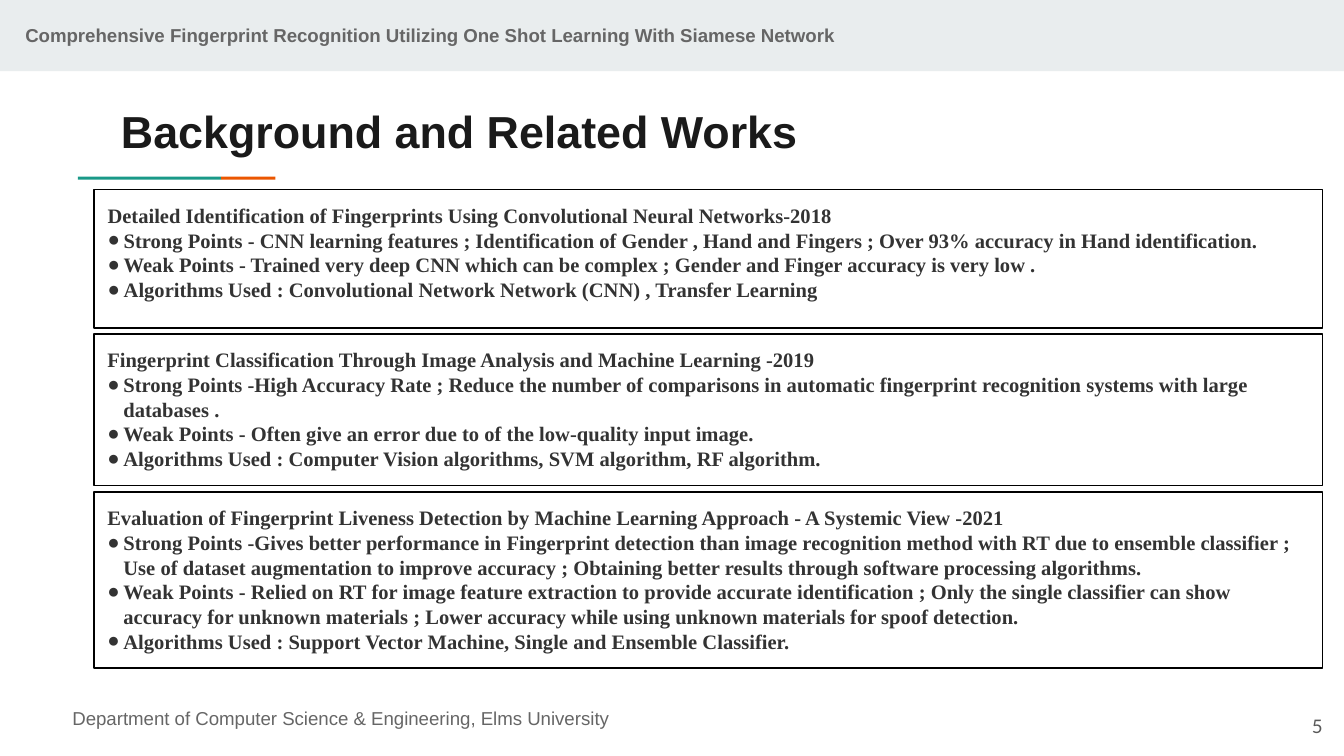
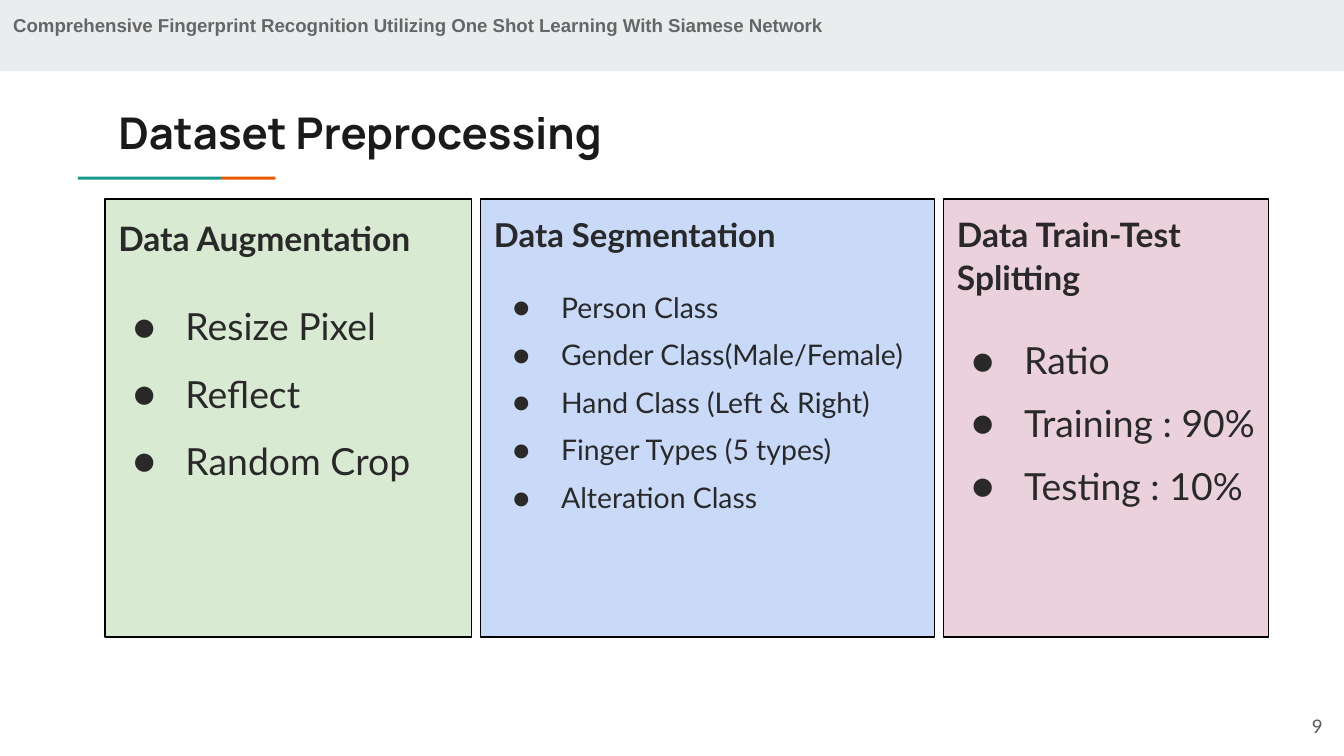
import pptx
import pptx.util
import pptx.dml.color
import pptx.enum.shapes
import pptx.enum.text
import lxml.etree

COLS, ROWS = 100, 56.25
CELL = pptx.util.Inches(0.1)
ALIGN = pptx.enum.text.PP_ALIGN
ANCHOR = pptx.enum.text.MSO_ANCHOR
INK, GREY, SLATE, COAL = "1A1A1A", "666666", "333333", "292929"
BAND, TEAL, ORANGE = "E9EDEE", "1A9988", "EB5600"
TOPIC = "Comprehensive Fingerprint Recognition Utilizing One Shot Learning With Siamese Network"
SCHOOL = "Department of Computer Science & Engineering, Elms University"

PAPERS = [
    (10.3, "Detailed Identification of Fingerprints Using Convolutional Neural Networks-2018", [
        "Strong Points - CNN learning features ; Identification of Gender , Hand and Fingers ; Over 93% accuracy in Hand identification.",
        "Weak Points - Trained very deep CNN which can be complex ; Gender and Finger accuracy is very low .",
        "Algorithms Used : Convolutional Network Network (CNN) , Transfer Learning"]),
    (11.3, "Fingerprint Classification Through Image Analysis and Machine Learning -2019", [
        "Strong Points -High Accuracy Rate ; Reduce the number of comparisons in automatic fingerprint recognition systems with large databases .",
        "Weak Points - Often give an error due to of the low-quality input image.",
        "Algorithms Used : Computer Vision algorithms, SVM algorithm, RF algorithm."]),
    (13.1, "Evaluation of Fingerprint Liveness Detection by Machine Learning Approach - A Systemic View -2021", [
        "Strong Points -Gives better performance in Fingerprint detection than image recognition method with RT due to ensemble classifier ; Use of dataset augmentation to improve accuracy ; Obtaining better results through software processing algorithms.",
        "Weak Points - Relied on RT for image feature extraction to provide accurate identification ; Only the single classifier can show accuracy for unknown materials ; Lower accuracy while using unknown materials for spoof detection.",
        "Algorithms Used : Support Vector Machine, Single and Ensemble Classifier."]),
]

STEPS = [
    (27.3, "D9EAD3", "Data Augmentation", 18, 1.15, 20, 1.5, 0.39,
     ["Resize Pixel", "Reflect", "Random Crop"]),
    (33.8, "C9DAF8", "Data Segmentation", 17.6, 1.05, 15.2, 1.4, 0.36,
     ["Person Class", "Gender Class(Male/Female)", "Hand Class (Left & Right)",
      "Finger Types (5 types)", "Alteration Class"]),
    (24.2, "EAD1DC", "Data Train-Test Splitting", 18, 1.05, 20, 1.4, 0.39,
     ["Ratio", "Training : 90%", "Testing : 10%"]),
]


def tint(code):
    return pptx.dml.color.RGBColor.from_string(code)


def place(shape, col, row, wide, high):
    shape.left, shape.top = round(col * CELL), round(row * CELL)
    shape.width, shape.height = round(wide * CELL), round(high * CELL)


def paint(shape, code):
    shape.fill.solid()
    shape.fill.fore_color.rgb = tint(code)


def block(slide, spot, code):
    shape = slide.shapes.add_shape(pptx.enum.shapes.MSO_SHAPE.RECTANGLE, 0, 0, 0, 0)
    place(shape, *spot)
    paint(shape, code)
    shape.line.fill.background()
    shape.shadow.inherit = False


def prep(shape, spot, anchor=ANCHOR.TOP):
    place(shape, *spot)
    frame = shape.text_frame
    frame.word_wrap = True
    frame.auto_size = pptx.enum.text.MSO_AUTO_SIZE.NONE
    frame.vertical_anchor = anchor
    frame.margin_left = frame.margin_right = CELL
    frame.margin_top = frame.margin_bottom = CELL
    return frame


def mark(para, left, hang, face=None, code=None):
    props = para._p.get_or_add_pPr()
    props.set("marL", str(pptx.util.Inches(left)))
    props.set("indent", str(-pptx.util.Inches(hang)))

    def add(node, name, **attrs):
        tag = pptx.oxml.ns.qn("a:" + name)
        return lxml.etree.SubElement(node, tag, attrs)

    if face is None:
        add(props, "buNone")
    else:
        add(add(props, "buClr"), "srgbClr", val=code)
        add(props, "buFont", typeface=face)
        add(props, "buChar", char="●")


def style(para, face, size, code, bold=False, lead=1.0, above=0, align=ALIGN.LEFT):
    para.alignment = align
    para.line_spacing = lead
    para.space_before = pptx.util.Pt(above)
    para.space_after = pptx.util.Pt(0)
    font = para.font
    font.name, font.size, font.bold = face, pptx.util.Pt(size), bold
    font.color.rgb = tint(code)


def label(slide, text, spot, face, size, code, anchor=ANCHOR.TOP, **look):
    frame = prep(slide.shapes.add_textbox(0, 0, 0, 0), spot, anchor)
    frame.text = text
    style(frame.paragraphs[0], face, size, code, **look)


def title(slide, text, spot, face, size):
    frame = prep(slide.shapes.title, spot)
    frame.text = text
    style(frame.paragraphs[0], face, size, INK, bold=True)


def panel(shape, spot, head, items, head_look, item_look, indent, gap=0):
    frame = prep(shape, spot)
    shape.line.color.rgb = tint("000000")
    shape.line.width = pptx.util.Pt(0.75)
    para = frame.paragraphs[0]
    para.text = head
    mark(para, 0, 0)
    style(para, **head_look)
    for num, item in enumerate(items):
        para = frame.add_paragraph()
        para.text = item
        mark(para, *indent, item_look["face"], item_look["code"])
        style(para, **item_look, above=0 if num else gap)


def start(deck, layout, topic_spot, page):
    slide = deck.slides.add_slide(deck.slide_layouts[layout])
    for hold in list(slide.placeholders)[4:]:
        hold.element.getparent().remove(hold.element)
    block(slide, (0, 0, COLS, 5.3), BAND)
    block(slide, (5.8, 13.15, 10.65, 0.22), TEAL)
    block(slide, (16.45, 13.15, 4.05, 0.22), ORANGE)
    label(slide, TOPIC, topic_spot, "Arial", 10, GREY, bold=True)
    label(slide, page, (93.4, 51.9, 6, 4.3), "Lato", 10, "595959",
          anchor=ANCHOR.MIDDLE, align=ALIGN.RIGHT)
    return slide


def works(deck):
    slide = start(deck, 1, (0.9, 0.8, 94.1, 5.4), "5")
    title(slide, "Background and Related Works", (8, 6.7, 84.1, 5.9), "Arial", 24)
    label(slide, SCHOOL, (4.4, 51.6, 94.1, 3.7), "Arial", 10, GREY)
    look = dict(face="Times New Roman", size=11, code=SLATE, bold=True)
    row = 14.1
    for num, (high, head, items) in enumerate(PAPERS):
        shape = slide.shapes.add_textbox(0, 0, 0, 0) if num else slide.placeholders[1]
        panel(shape, (7, row, 91.4, high), head, items, look, look, (0.12, 0.12))
        row += high + 0.45


def steps(deck):
    slide = start(deck, 4, (0, 0, 74.2, 3.7), "9")
    title(slide, "Dataset Preprocessing", (7.8, 6.9, 42.6, 5.9), "Manrope", 23.4)
    col = 7.8
    for num, (wide, fill, head, big, lead, size, space, hang, items) in enumerate(STEPS, 1):
        shape = slide.placeholders[num]
        paint(shape, fill)
        panel(shape, (col, 14.8, wide, 32.6), head, items,
              dict(face="Lato", size=big, code=COAL, bold=True, lead=lead),
              dict(face="Lato", size=size, code=COAL, lead=space),
              (0.5, hang), 12)
        col += wide + 0.65


def main():
    deck = pptx.Presentation()
    deck.slide_width, deck.slide_height = round(COLS * CELL), round(ROWS * CELL)
    works(deck)
    steps(deck)
    deck.save("out.pptx")


if __name__ == "__main__":
    main()
